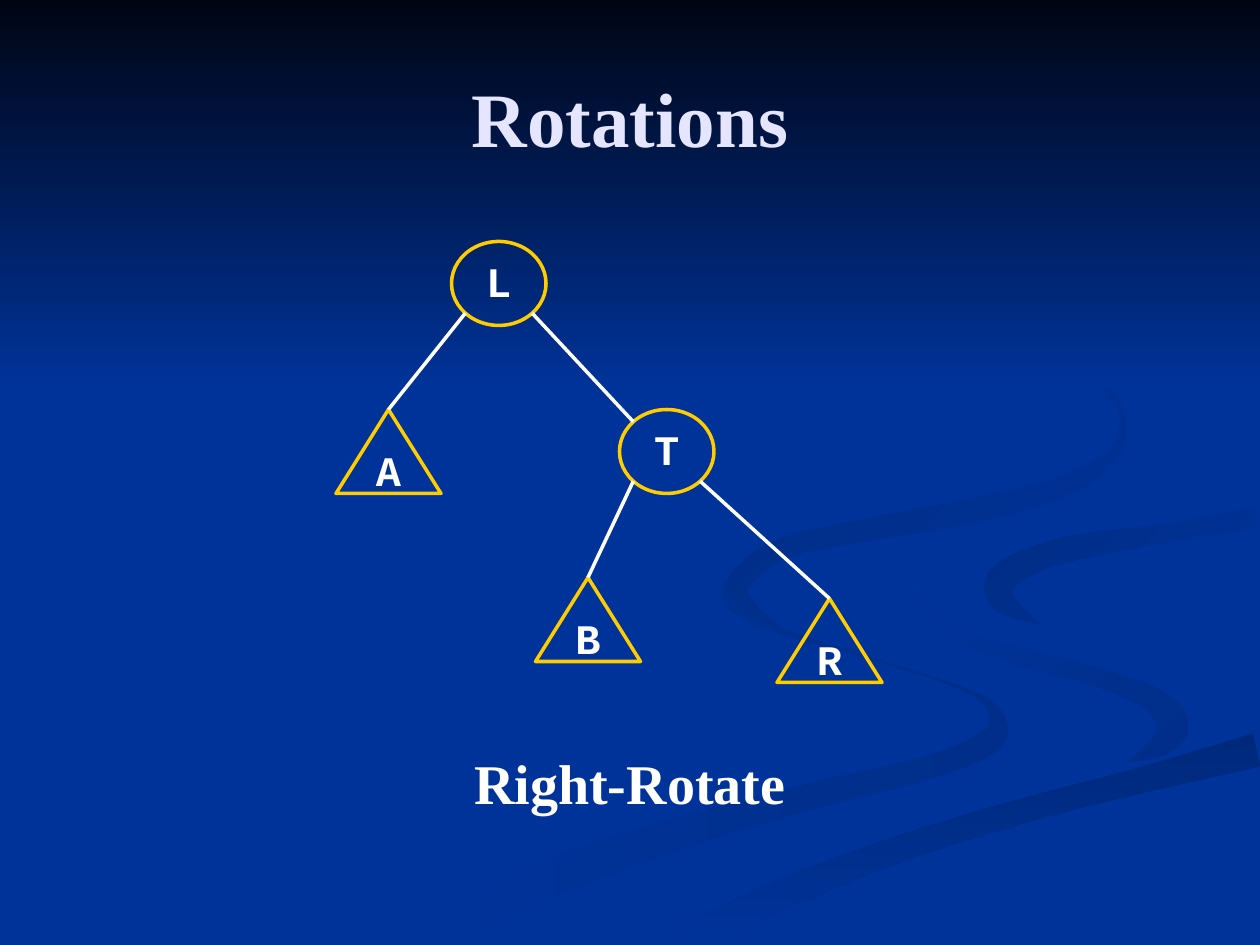
from math import hypot, sqrt
from lxml.etree import SubElement
from pptx import Presentation
from pptx.dml.color import RGBColor
from pptx.enum.shapes import MSO_CONNECTOR, MSO_SHAPE
from pptx.enum.text import MSO_ANCHOR as Anchor, PP_ALIGN as Align
from pptx.oxml.ns import qn
from pptx.util import Inches, Pt

COLORS = {
    "blue": "003399", "night": "000514", "dusk": "002E8A", "deep": "00297C",
    "shade": "002C85", "shadow": "002B81",
    "gold": "FFCC00", "white": "FFFFFF", "lavender": "E5E5FF",
}
RGB = {name: RGBColor.from_string(value) for name, value in COLORS.items()}

WIDTH, HEIGHT = 10, 7.5  # inches
CELL = Inches(1) // 12   # the tree sits on a grid of 120 columns and 90 rows
STEPS = 6                # samples between two stations of a ribbon

# Each ribbon: start colour, end colour, clockwise gradient angle, and the
# stations of its centre line as (x, y, thickness) in inches.
RIBBONS = {
    "river": ("dusk", "blue", 180, [
        (5.75, 4.59, 0), (5.79, 4.79, 0.06), (6.12, 4.98, 0.04), (6.8, 5.19, 0.02),
        (7.43, 5.39, 0.02), (7.79, 5.54, 0.05), (7.92, 5.73, 0.14), (7.83, 5.9, 0.2),
        (7.34, 6.1, 0.18), (6.47, 6.31, 0.2), (5.6, 6.55, 0.23), (4.62, 6.87, 0.28),
        (3.86, 7.19, 0.3), (3.3, 7.49, 0.4)]),
    "right bend": ("dusk", "blue", 225, [
        (7.24, 4.64, 0), (7.3, 4.81, 0.03), (7.63, 5.05, 0.08), (8.13, 5.22, 0.13),
        (8.69, 5.37, 0.14), (9.13, 5.54, 0.19), (9.31, 5.75, 0.25), (9.2, 5.92, 0.17),
        (8.94, 6.05, 0)]),
    "lower stream": ("deep", "blue", 90, [
        (9.98, 5.95, 0.27), (9.03, 6.2, 0.2), (8.21, 6.41, 0.19), (7.22, 6.71, 0.2),
        (6.3, 7.06, 0.23), (5.71, 7.34, 0.26), (5.37, 7.49, 0.3)]),
    "right hook": ("blue", "shade", 225, [
        (9.98, 4.11, 0.18), (9.33, 4.22, 0.14), (8.62, 4.33, 0.19), (8.24, 4.43, 0.2),
        (8, 4.55, 0.22), (7.93, 4.68, 0.23), (8, 4.81, 0.16), (8.26, 4.96, 0)]),
    "long hook": ("blue", "shadow", 225, [
        (7.62, 2.33, 0), (8.4, 2.74, 0.02), (8.83, 3.14, 0.04), (8.91, 3.4, 0.06),
        (8.8, 3.65, 0.12), (8.36, 3.89, 0.17), (7.64, 4.07, 0.19), (6.8, 4.22, 0.17),
        (6.2, 4.36, 0.16), (5.86, 4.63, 0.17), (5.95, 4.82, 0.1), (6.22, 5, 0)]),
}

# letter: kind of node, centre column, centre row
NODES = {
    "T": ("single", 63.5, 43),
    "L": ("single", 47.5, 27),
    "A": ("subtree", 37, 43),
    "B": ("subtree", 56, 59),
    "R": ("subtree", 79, 61),
}
# kind of node: preset shape and width in columns
KINDS = {"single": (MSO_SHAPE.OVAL, 9), "subtree": (MSO_SHAPE.ISOSCELES_TRIANGLE, 10)}
NODE_ROWS = 8
EDGES = ["LA", "LT", "TB", "TR"]  # parent and child


def write(frame, words, font_name, size, color):
    """Put one bold, centred line of text in a frame and return it."""
    frame.vertical_anchor = Anchor.MIDDLE
    line = frame.paragraphs[0]
    line.text = words
    line.alignment = Align.CENTER
    line.font.name, line.font.size, line.font.bold = font_name, Pt(size), True
    line.font.color.rgb = RGB[color]
    return line


def ribbon_outline(stations):
    """Run a Catmull-Rom curve through the stations and return both its edges."""
    padded = [stations[0], *stations, stations[-1]]
    curve = []
    for four in zip(padded, padded[1:], padded[2:], padded[3:]):
        for step in range(STEPS):
            t = step / STEPS
            curve.append([
                b + t / 2 * (c - a + t * (2 * a - 5 * b + 4 * c - d
                                          + t * (3 * b - a - 3 * c + d)))
                for a, b, c, d in zip(*four)])
    curve.append(stations[-1])

    left, right = [], []
    for before, (x, y, thickness), after in zip(
            [curve[0], *curve], curve, [*curve[1:], curve[-1]]):
        dx, dy = after[0] - before[0], after[1] - before[1]
        reach = max(thickness, 0) / 2 / hypot(dx, dy)
        for edge, side in ((left, 1), (right, -1)):
            edge.append((Inches(min(x + side * reach * dy, WIDTH)),
                         Inches(min(y - side * reach * dx, HEIGHT))))
    return left + right[::-1]


deck = Presentation()
deck.slide_width, deck.slide_height = Inches(WIDTH), Inches(HEIGHT)
slide = deck.slides.add_slide(deck.slide_layouts[6])
shapes = slide.shapes
slide.background.fill.solid()
slide.background.fill.fore_color.rgb = RGB["blue"]

# Backdrop: the ribbons, then the night sky over their upper ends
backdrop = []
for start, end, angle, stations in RIBBONS.values():
    first, *others = ribbon_outline(stations)
    builder = shapes.build_freeform(*first, scale=1.0)
    builder.add_line_segments(others, close=True)
    backdrop.append((builder.convert_to_shape(), start, end, angle))
sky = shapes.add_shape(MSO_SHAPE.RECTANGLE, 0, 0, Inches(WIDTH), Inches(3.08))
backdrop.append((sky, "night", "blue", 90))

for part, start, end, angle in backdrop:
    part.shadow.inherit = False
    part.line.fill.background()
    part.fill.gradient()
    part.fill.gradient_angle = 360 - angle
    for stop, color, place in zip(part.fill.gradient_stops, (start, end), (0, 1)):
        stop.color.rgb = RGB[color]
        stop.position = place

# Title and caption
for words, top, height, size, color in [
    ("Rotations", 0.3, 1.25, 44, "lavender"),
    ("Right-Rotate", 5.88, 0.65, 32, "white"),
]:
    heading = shapes.add_textbox(Inches(0.5), Inches(top), Inches(9), Inches(height))
    heading.text_frame.word_wrap = True
    write(heading.text_frame, words, "Times New Roman", size, color)

# Nodes of the tree
for letter, (kind, column, row) in NODES.items():
    preset, columns = KINDS[kind]
    box = (column - columns / 2, row - NODE_ROWS / 2, columns, NODE_ROWS)
    node = shapes.add_shape(preset, *(int(CELL * cells) for cells in box))
    node.shadow.inherit = False
    node.fill.background()
    node.line.color.rgb = RGB["gold"]
    node.line.width = Pt(2)
    node.text_frame.word_wrap = False
    write(node.text_frame, letter, "Courier New", 24, "white").line_spacing = 0.9

# Branches leave an oval on its diagonal and end at an oval's diagonal or an apex
across = KINDS["single"][1] / 2 / sqrt(2)
down = NODE_ROWS / 2 / sqrt(2)
for parent, child in EDGES:
    _, parent_column, parent_row = NODES[parent]
    kind, child_column, child_row = NODES[child]
    side = 1 if child_column > parent_column else -1
    begin = (parent_column + side * across, parent_row + down)
    if kind == "single":
        finish = (child_column - side * across, child_row - down)
    else:
        finish = (child_column, child_row - NODE_ROWS / 2)
    ends = [int(CELL * cells) for cells in (*begin, *finish)]
    branch = shapes.add_connector(MSO_CONNECTOR.STRAIGHT, *ends)
    branch.line.color.rgb = RGB["white"]
    branch.line.width = Pt(2)
    SubElement(branch._element.spPr, qn("a:effectLst"))

deck.save("out.pptx")
